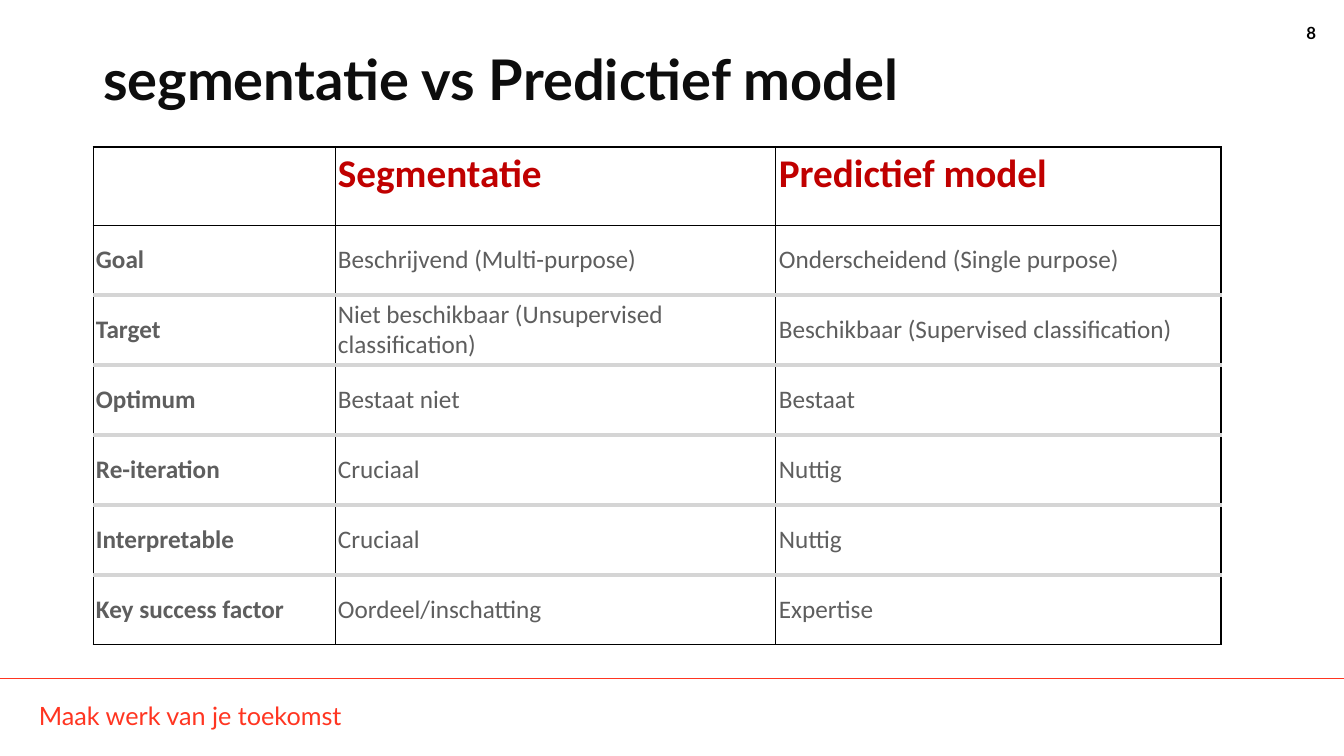
from lxml import etree
from pptx import Presentation
from pptx.dml.color import RGBColor
from pptx.enum.shapes import MSO_CONNECTOR
from pptx.enum.text import MSO_ANCHOR, PP_ALIGN
from pptx.oxml.ns import qn
from pptx.util import Pt

TITLE = "segmentatie vs Predictief model"
FOOTER = "Maak werk van je toekomst"
PAGE_NUMBER = "8"
ROWS = [
    ("", "Segmentatie", "Predictief model"),
    ("Goal", "Beschrijvend (Multi-purpose)", "Onderscheidend (Single purpose)"),
    ("Target", "Niet beschikbaar (Unsupervised classification)",
     "Beschikbaar (Supervised classification)"),
    ("Optimum", "Bestaat niet", "Bestaat"),
    ("Re-iteration", "Cruciaal", "Nuttig"),
    ("Interpretable", "Cruciaal", "Nuttig"),
    ("Key success factor", "Oordeel/inschatting", "Expertise"),
]

BLACK = RGBColor(0x00, 0x00, 0x00)
INK = RGBColor(0x0D, 0x0D, 0x0D)
GREY = RGBColor(0x5E, 0x5E, 0x5E)
RULE_GREY = RGBColor(0xD5, 0xD5, 0xD5)
DARK_RED = RGBColor(0xC0, 0x00, 0x00)
BRIGHT_RED = RGBColor(0xFF, 0x35, 0x21)

LEFT, RIGHT = PP_ALIGN.LEFT, PP_ALIGN.RIGHT
TOP, MIDDLE = MSO_ANCHOR.TOP, MSO_ANCHOR.MIDDLE
STRAIGHT = MSO_CONNECTOR.STRAIGHT

SLIDE_WIDTH, SLIDE_HEIGHT = 1344, 756
TITLE_BOX = (93, 19, 1216, 126)
FOOTER_BOX = (29, 695, 857, 41)
NUMBER_BOX = (1277, 18, 49, 30)
FOOTER_LINE_Y = 678
TABLE_LEFT, TABLE_TOP = 93, 147
COLUMN_WIDTHS = (242, 441, 445)
HEADER_HEIGHT, ROW_HEIGHT = 78, 70
CELL_MARGIN = 3

TITLE_FONT = {"name": "Lato", "size": Pt(40), "bold": True}
FOOTER_FONT = {"name": "Lato", "size": Pt(18), "bold": False}
NUMBER_FONT = {"name": "Lato", "size": Pt(12), "bold": True}
HEADER_FONT = {"name": "Calibri", "size": Pt(28), "bold": True}
LABEL_FONT = {"name": "Calibri", "size": Pt(18), "bold": True}
VALUE_FONT = {"name": "Calibri", "size": Pt(18), "bold": False}

THIN, MEDIUM, THICK = (BLACK, 0.75), (BLACK, 1.5), (RULE_GREY, 3)


def px(length):
    return round(length * 914400 / 100.8)


def write(text_frame, text, font_format, color, alignment=LEFT):
    paragraph = text_frame.paragraphs[0]
    paragraph.text = text
    paragraph.alignment = alignment
    for name, value in font_format.items():
        setattr(paragraph.font, name, value)
    paragraph.font.color.rgb = color
    return paragraph


def add_label(slide, box, *text_format):
    text_frame = slide.shapes.add_textbox(*map(px, box)).text_frame
    text_frame.word_wrap = True
    write(text_frame, *text_format)


def set_borders(cell, borders):
    """Draw left, right, top and bottom borders, each a (color, points) pair."""
    properties = cell._tc.get_or_add_tcPr()
    for index, (side, (color, points)) in enumerate(zip("LRTB", borders)):
        line = etree.Element(qn(f"a:ln{side}"), w=str(Pt(points)))
        fill = etree.SubElement(line, qn("a:solidFill"))
        etree.SubElement(fill, qn("a:srgbClr"), val=str(color))
        properties.insert(index, line)


def add_title(slide):
    title = slide.shapes.title
    title.left, title.top, title.width, title.height = map(px, TITLE_BOX)
    title.text_frame.vertical_anchor = MIDDLE
    title.text_frame.word_wrap = True
    write(title.text_frame, TITLE, TITLE_FONT, INK).line_spacing = 0.9


def add_comparison_table(slide):
    heights = [HEADER_HEIGHT] + [ROW_HEIGHT] * (len(ROWS) - 1)
    table = slide.shapes.add_table(
        len(ROWS), len(COLUMN_WIDTHS), px(TABLE_LEFT), px(TABLE_TOP),
        px(sum(COLUMN_WIDTHS)), px(sum(heights))).table
    table.first_row = table.horz_banding = False
    for column, width in zip(table.columns, COLUMN_WIDTHS):
        column.width = px(width)
    for row, height in zip(table.rows, heights):
        row.height = px(height)

    last_row, last_column = len(ROWS) - 1, len(COLUMN_WIDTHS) - 1
    for row_index, texts in enumerate(ROWS):
        is_header = row_index == 0
        top = MEDIUM if is_header else THIN if row_index == 1 else THICK
        bottom = THIN if row_index in (0, last_row) else THICK
        for column_index, text in enumerate(texts):
            cell = table.cell(row_index, column_index)
            cell.fill.background()
            cell.vertical_anchor = TOP if is_header else MIDDLE
            for side in ("left", "right", "top", "bottom"):
                setattr(cell, f"margin_{side}", px(CELL_MARGIN))
            body_font = VALUE_FONT if column_index else LABEL_FONT
            write(cell.text_frame, text, HEADER_FONT if is_header else body_font,
                  DARK_RED if is_header else GREY)
            right = MEDIUM if column_index == last_column else THIN
            set_borders(cell, (THIN, right, top, bottom))


def add_footer(slide):
    line = slide.shapes.add_connector(
        STRAIGHT, 0, px(FOOTER_LINE_Y), px(SLIDE_WIDTH), px(FOOTER_LINE_Y))
    line.line.color.rgb = BRIGHT_RED
    line.line.width = Pt(0.5)
    etree.SubElement(line._element.spPr, qn("a:effectLst"))
    add_label(slide, FOOTER_BOX, FOOTER, FOOTER_FONT, BRIGHT_RED)


def main():
    presentation = Presentation()
    presentation.slide_width = px(SLIDE_WIDTH)
    presentation.slide_height = px(SLIDE_HEIGHT)
    slide = presentation.slides.add_slide(presentation.slide_layouts[5])
    add_footer(slide)
    add_label(slide, NUMBER_BOX, PAGE_NUMBER, NUMBER_FONT, BLACK, RIGHT)
    add_title(slide)
    add_comparison_table(slide)
    presentation.save("out.pptx")


if __name__ == "__main__":
    main()
